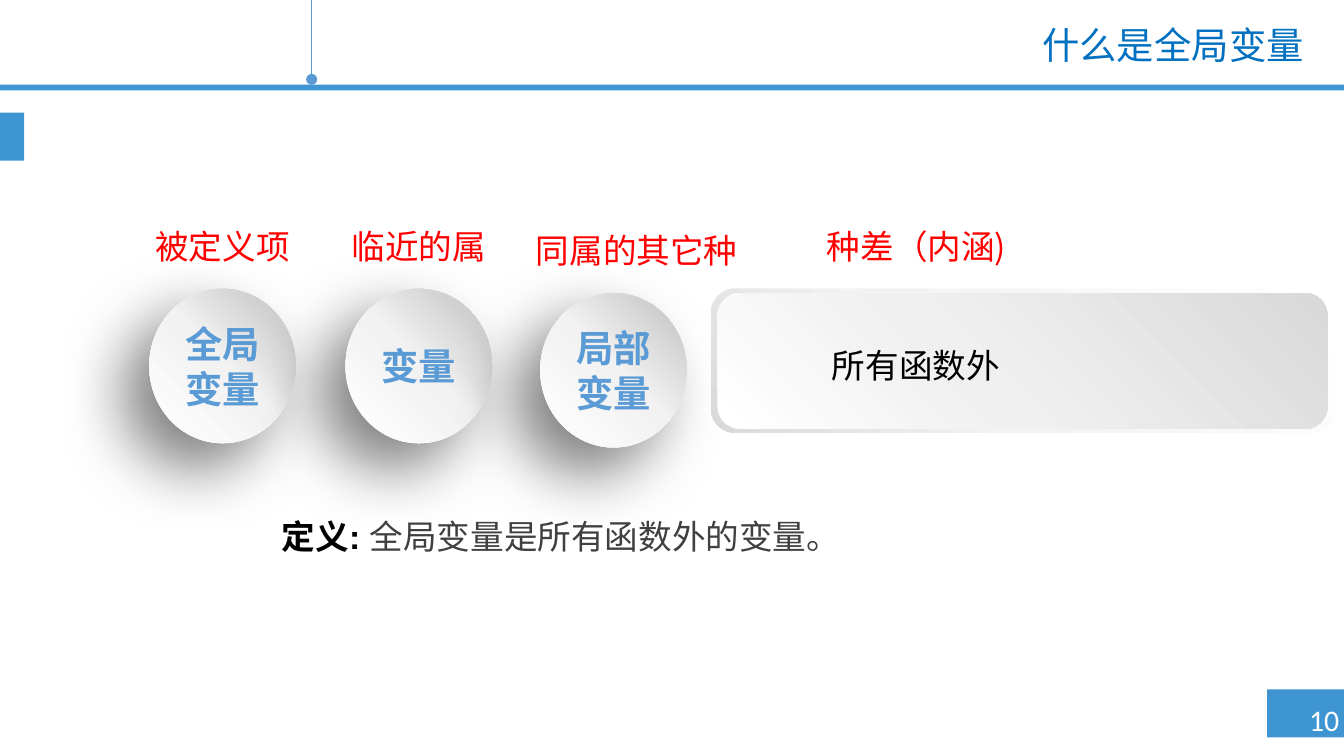
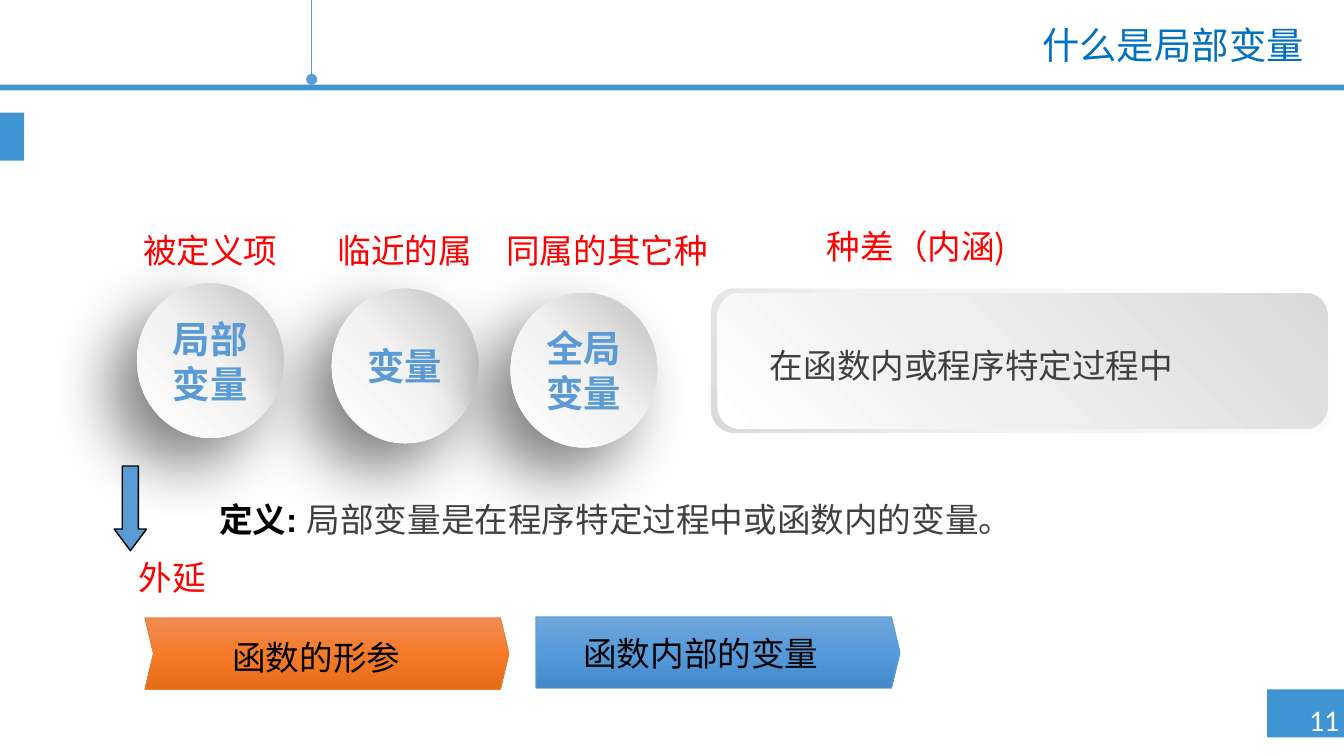
from lxml.etree import SubElement
from pptx import Presentation
from pptx.dml.color import RGBColor
from pptx.enum.shapes import MSO_CONNECTOR as Connector, MSO_SHAPE as Shape
from pptx.enum.text import MSO_ANCHOR as Anchor, PP_ALIGN as Align
from pptx.oxml.ns import qn
from pptx.util import Cm, Pt

BLACK = RGBColor(0x00, 0x00, 0x00)
WHITE = RGBColor(0xFF, 0xFF, 0xFF)
GRAY = RGBColor(0x40, 0x40, 0x40)
RED = RGBColor(0xFF, 0x00, 0x00)
BAND_BLUE = RGBColor(0x3F, 0x95, 0xD2)
TITLE_BLUE = RGBColor(0x00, 0x70, 0xC0)
ACCENT_BLUE = RGBColor(0x5B, 0x9B, 0xD5)
ORANGE = RGBColor(0xED, 0x7D, 0x31)

# Gradients: stops as (percent, colour), then the clockwise angle
CIRCLE_GRADIENT = ((0, "FFFFFF"), (51, "F2F2F2"), (100, "BFBFBF")), 315
RIM_GRADIENT = ((0, "FFFFFF"), (62, "F2F2F2"), (100, "D9D9D9")), 135
PANEL_GRADIENT = ((0, "FFFFFF"), (42, "F0F0F0"), (100, "D9D9D9")), 315
BLUE_GRADIENT = ((0, "71A6DB"), (50, "559BDB"), (100, "448ACA")), 90
ORANGE_GRADIENT = ((0, "F18C57"), (50, "F67B28"), (100, "E56C19")), 90

CJK = "Noto Sans CJK SC"
CIRCLE_WIDTH, CIRCLE_HEIGHT = 2.77, 2.92
LINE_HEIGHT = 1.02
# Caption, box width, shift from the centre of its circle
CAPTIONS = (("被定义项", 5.16, 0), ("临近的属", 5.66, 0), ("同属的其它种", 5.66, 0.44))


def write(frame, text, size=18, color=BLACK, font=CJK, bold=False,
          align=Align.LEFT, spacing=None):
    """Append a formatted run to the first paragraph of a text frame."""
    paragraph = frame.paragraphs[0]
    paragraph.alignment = align
    if spacing:
        paragraph.line_spacing = spacing
    run = paragraph.add_run()
    run.text = text
    run.font.size = Pt(size)
    run.font.bold = bold
    run.font.color.rgb = color
    run.font.name = font
    SubElement(run.font._element, qn("a:ea"), typeface=CJK)


def fill_gradient(shape, stops, angle):
    shape.fill.gradient()
    shape.fill.gradient_angle = 360 - angle
    stop_list = shape.element.find(".//" + qn("a:gsLst"))
    for stop in list(stop_list):
        stop_list.remove(stop)
    for percent, color in stops:
        stop = SubElement(stop_list, qn("a:gs"), pos=str(percent * 1000))
        SubElement(stop, qn("a:srgbClr"), val=color)


def cast_shadow(shape):
    effects = shape.element.find(".//" + qn("a:effectLst"))
    shadow = SubElement(effects, qn("a:outerShdw"), blurRad=str(Pt(35)),
                        dist=str(Pt(20)), dir=str(135 * 60000),
                        algn="tr", rotWithShape="0")
    color = SubElement(shadow, qn("a:srgbClr"), val=str(BLACK))
    SubElement(color, qn("a:alpha"), val="50000")


class Deck:
    def __init__(self):
        self.presentation = Presentation()
        self.presentation.slide_width = Cm(25.4)
        self.presentation.slide_height = Cm(14.29)
        self.slide = None

    def start_slide(self, title, number):
        layout = self.presentation.slide_layouts[5]
        self.slide = self.presentation.slides.add_slide(layout)
        self.shape(Shape.RECTANGLE, 23.95, 13.03, 1.45, 0.91, BAND_BLUE)
        self.shape(Shape.RECTANGLE, 0, 1.6, 25.4, 0.11, BAND_BLUE)
        self.shape(Shape.RECTANGLE, 0, 2.13, 0.46, 0.91, BAND_BLUE)
        self.pin(5.89, 1.5)
        self.text(f"{number} ", 24.43, 13.13, 1.32, 0.94, wrap=False,
                  size=16, color=WHITE, font="Calibri", align=Align.CENTER)
        self.title(title)

    def title(self, text):
        title = self.slide.shapes.title
        title.left, title.top = Cm(6.1), Cm(0.38)
        title.width, title.height = Cm(18.8), Cm(LINE_HEIGHT)
        title.text_frame.vertical_anchor = Anchor.MIDDLE
        write(title.text_frame, text, size=20, color=TITLE_BLUE,
              font="Calibri", align=Align.RIGHT, spacing=0.9)

    def pin(self, left, length):
        """Draw a line hanging from the top edge with a dot at its end."""
        connector = self.slide.shapes.add_connector(
            Connector.STRAIGHT, Cm(left), Cm(0), Cm(left), Cm(length))
        connector.line.color.rgb = ACCENT_BLUE
        connector.line.width = Pt(0.75)
        SubElement(connector.element.find(".//" + qn("a:ln")),
                   qn("a:tailEnd"), type="oval")
        SubElement(connector.element.spPr, qn("a:effectLst"))

    def shape(self, kind, left, top, width, height, fill,
              line=None, line_width=0.5, adjustments=()):
        shape = self.slide.shapes.add_shape(
            kind, Cm(left), Cm(top), Cm(width), Cm(height))
        shape.shadow.inherit = False
        if isinstance(fill, RGBColor):
            shape.fill.solid()
            shape.fill.fore_color.rgb = fill
        else:
            fill_gradient(shape, *fill)
        if line is None:
            shape.line.fill.background()
        else:
            shape.line.color.rgb = line
            shape.line.width = Pt(line_width)
        for index, value in enumerate(adjustments):
            shape.adjustments[index] = value
        return shape

    def text(self, text, left, top, width, height=LINE_HEIGHT, wrap=True, **style):
        box = self.slide.shapes.add_textbox(
            Cm(left), Cm(top), Cm(width), Cm(height))
        box.text_frame.word_wrap = wrap
        write(box.text_frame, text, **style)
        return box

    def label(self, text, left, top, width):
        self.text(text, left, top, width, color=RED, align=Align.CENTER)

    def circle(self, text, left, top):
        circle = self.shape(Shape.OVAL, left, top, CIRCLE_WIDTH,
                            CIRCLE_HEIGHT, CIRCLE_GRADIENT)
        cast_shadow(circle)
        frame = circle.text_frame
        frame.word_wrap = True
        frame.vertical_anchor = Anchor.MIDDLE
        write(frame, text, size=20, color=ACCENT_BLUE, font="Calibri",
              bold=True, align=Align.CENTER)

    def concepts(self, *concepts):
        """Draw the circles, each given as name, left, top and caption top."""
        for (caption, width, shift), (name, left, top, caption_top) in zip(
                CAPTIONS, concepts):
            self.circle(name, left, top)
            center = left + CIRCLE_WIDTH / 2 + shift
            self.label(caption, center - width / 2, caption_top, width)

    def difference(self, text, left, width, **style):
        """Draw the panel that states what sets the concept apart."""
        self.label("种差（内涵)", 14.86, 4.14, 4.93)
        self.shape(Shape.ROUNDED_RECTANGLE, 13.44, 5.46, 11.81, 2.72, RIM_GRADIENT)
        self.shape(Shape.ROUNDED_RECTANGLE, 13.56, 5.54, 11.53, 2.57, PANEL_GRADIENT)
        self.text(text, left, 6.25, width, 1.17, wrap=False, spacing=1.2, **style)

    def definition(self, text, left, top, width):
        box = self.text("定义: ", left, top, width, 1.8, font="Arial", bold=True)
        write(box.text_frame, text, color=GRAY)

    def example(self, text, left, top, width):
        self.text(text, left, top, width, wrap=False, font="Arial",
                  align=Align.CENTER)


def add_global_variable(deck):
    deck.start_slide("什么是全局变量", 10)
    deck.concepts(("全局变量", 2.82, 5.46, 4.14),
                  ("变量", 6.53, 5.46, 4.14),
                  ("局部变量", 10.21, 5.54, 4.22))
    deck.difference("所有函数外", 15.47, 3.68, align=Align.CENTER)
    deck.definition("全局变量是所有函数外的变量。", 5.08, 9.63, 11.07)


def add_local_variable(deck):
    deck.start_slide("什么是局部变量", 11)
    deck.concepts(("局部变量", 2.59, 5.36, 4.22),
                  ("变量", 6.27, 5.46, 4.22),
                  ("全局变量", 9.65, 5.54, 4.22))
    deck.difference("在函数内或程序特定过程中", 14.3, 8.13, color=GRAY)
    deck.definition("局部变量是在程序特定过程中或函数内的变量。", 3.89, 9.3, 15.52)
    deck.shape(Shape.DOWN_ARROW, 2.16, 8.81, 0.61, 1.6, ACCENT_BLUE,
               line=BLACK, line_width=0.75, adjustments=(0.5, 0.67))
    deck.label("外延", 0.43, 10.41, 5.66)
    deck.shape(Shape.CHEVRON, 2.74, 11.68, 6.88, 1.35, ORANGE_GRADIENT,
               line=ORANGE, adjustments=(0.12,))
    deck.example("函数的形参", 4.14, 11.91, 3.68)
    deck.shape(Shape.PENTAGON, 10.13, 11.66, 6.88, 1.35, BLUE_GRADIENT,
               line=ACCENT_BLUE, adjustments=(0.12,))
    deck.example("函数内部的变量", 10.77, 11.84, 4.95)


def main():
    deck = Deck()
    add_global_variable(deck)
    add_local_variable(deck)
    deck.presentation.save("out.pptx")


if __name__ == "__main__":
    main()
